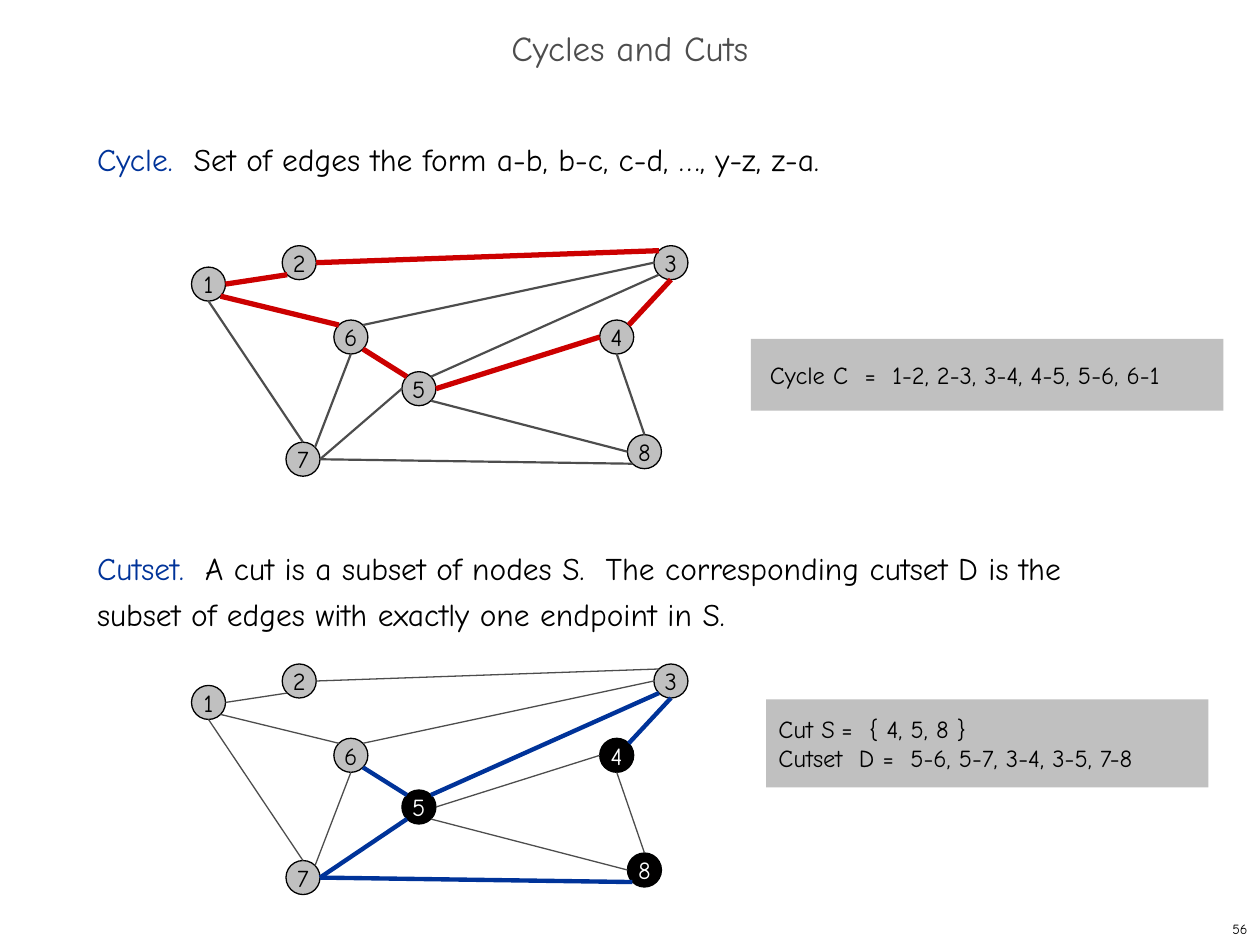
from math import cos, radians, sin

from lxml import etree
from pptx import Presentation
from pptx import util as u
from pptx.dml.color import RGBColor
from pptx.enum import shapes, text
from pptx.oxml import ns

Inches, Pt = u.Inches, u.Pt
FONT = "Comic Neue"
COLORS = {"black": "000000", "white": "FFFFFF", "gray": "C0C0C0", "dark": "4D4D4D",
          "blue": "003399", "red": "CC0000", "cut": "010000"}


def rgb(name):
    return RGBColor.from_string(COLORS[name])


def write(tf, paragraphs, size=14, align=text.PP_ALIGN.LEFT, spacing=None, gap=0,
          margins=(0.1, 0.05), wrap=True, anchor=text.MSO_ANCHOR.MIDDLE, tab=None):
    """Fill a text frame; each paragraph is a list of (text, colour) runs."""
    tf.word_wrap, tf.vertical_anchor = wrap, anchor
    tf.auto_size = text.MSO_AUTO_SIZE.NONE
    tf.margin_left = tf.margin_right = Inches(margins[0])
    tf.margin_top = tf.margin_bottom = Inches(margins[1])
    for i, runs in enumerate(paragraphs):
        p = tf.paragraphs[0] if i == 0 else tf.add_paragraph()
        pPr = p._p.get_or_add_pPr()
        pPr.set("marL", "0")
        pPr.set("indent", "0")
        etree.SubElement(pPr, ns.qn("a:buNone"))
        if tab:
            tabs = etree.SubElement(pPr, ns.qn("a:tabLst"))
            etree.SubElement(tabs, ns.qn("a:tab"), pos=str(Inches(tab)), algn="l")
        p.alignment = align
        p.space_before = Pt(gap if i else 0)
        if spacing:
            p.line_spacing = spacing
        for words, color in runs:
            r = p.add_run()
            r.text = words
            r.font.name, r.font.size = FONT, Pt(size)
            r.font.color.rgb = rgb(color)


prs = Presentation()
prs.slide_width, prs.slide_height = Inches(10), Inches(7.5)
s = prs.slides.add_slide(prs.slide_layouts[1])

# Title and definitions
title, body = s.placeholders
for sp, box in ((title, (0, 0.17, 10, 0.5)), (body, (0.67, 1, 8.58, 5.92))):
    sp.left, sp.top, sp.width, sp.height = map(Inches, box)
write(title.text_frame, [[("Cycles and Cuts", "dark")]], size=20,
      align=text.PP_ALIGN.CENTER, spacing=0.7)
write(body.text_frame, [
    [("Cycle.  ", "blue"),
     ("Set of edges the form a-b, b-c, c-d, …, y-z, z-a.", "black")],
    [("Cutset.  ", "blue"),
     ("A cut is a subset of nodes S.  The corresponding cutset D is the "
      "subset of edges with exactly one endpoint in S.", "black")],
], size=18, spacing=Pt(26), gap=8 * 26, anchor=text.MSO_ANCHOR.TOP)

# Slide number
sp = s.shapes.add_textbox(Inches(7.92), Inches(7.25), Inches(2.08), Inches(0.25))
write(sp.text_frame, [[("56", "black")]], size=8, align=text.PP_ALIGN.RIGHT)

# Example boxes
examples = [
    ((5.96, 2.69, 3.75, 0.57), (0.15, 0.15), None,
     ["Cycle C  =  1-2, 2-3, 3-4, 4-5, 5-6, 6-1"]),
    ((6.08, 5.55, 3.51, 0.7), (0.1, 0.08), 0.9,
     ["Cut S\t=  { 4, 5, 8 }", "Cutset  D =  5-6, 5-7, 3-4, 3-5, 7-8"]),
]
for box, margins, tab, lines in examples:
    sp = s.shapes.add_shape(shapes.MSO_SHAPE.RECTANGLE, *map(Inches, box))
    sp.shadow.inherit = False
    sp.fill.solid()
    sp.fill.fore_color.rgb = rgb("gray")
    sp.line.fill.background()
    write(sp.text_frame, [[(line, "black")] for line in lines], margins=margins, tab=tab)

# Graph: node corners, and edges that join compass points of the circles
DIAMETER = 0.27
nodes = {1: (1.52, 2.12), 2: (2.24, 1.95), 3: (5.19, 1.95), 4: (4.76, 2.54),
         5: (3.19, 2.95), 6: (2.65, 2.54), 7: (2.27, 3.51), 8: (4.98, 3.45)}
compass = ["E", "SE", "S", "SW", "W", "NW", "N", "NE"]
edges = [(1, "E", 2, "SW"), (1, "SE", 6, "NW"), (1, "S", 7, "N"), (6, "NE", 3, "W"),
         (4, "NE", 3, "S"), (6, "SE", 5, "NW"), (5, "SE", 8, "W"), (5, "E", 4, "W"),
         (4, "S", 8, "N"), (3, "SW", 5, "NE"), (6, "S", 7, "NE"), (2, "E", 3, "NW"),
         (7, "E", 8, "SW")]
cycle = [{1, 2}, {2, 3}, {3, 4}, {4, 5}, {5, 6}, {1, 6}]
cutset = [{5, 6}, {5, 7}, {3, 4}, {3, 5}, {7, 8}]

# Vertical offset, cut nodes, marked edges, their colour and width, plain width, 7-5 end
graphs = [(0, set(), cycle, "red", 3, 1.25, "W"),
          (3.32, {4, 5, 8}, cutset, "blue", 2.5, 0.75, "SW")]
for offset, cut, marked, color, thick, thin, end in graphs:
    for name, (x, y) in nodes.items():
        sp = s.shapes.add_shape(shapes.MSO_SHAPE.OVAL, Inches(x), Inches(y + offset),
                                Inches(DIAMETER), Inches(DIAMETER))
        sp.shadow.inherit = False
        sp.fill.solid()
        sp.fill.fore_color.rgb = rgb("cut" if name in cut else "gray")
        sp.line.color.rgb, sp.line.width = rgb("black"), Pt(0.75)
        write(sp.text_frame, [[(str(name), "white" if name in cut else "black")]],
              align=text.PP_ALIGN.CENTER, wrap=False)

    for a, a_side, b, b_side in edges + [(7, "E", 5, end)]:
        points = []
        for name, side in ((a, a_side), (b, b_side)):
            x, y = nodes[name]
            angle = radians(45 * compass.index(side))
            points += [Inches(x + DIAMETER / 2 * (1 + cos(angle))),
                       Inches(y + offset + DIAMETER / 2 * (1 + sin(angle)))]
        line = s.shapes.add_connector(shapes.MSO_CONNECTOR.STRAIGHT, *points)
        on = {a, b} in marked
        line.line.color.rgb = rgb(color if on else "dark")
        line.line.width = Pt(thick if on else thin)
        etree.SubElement(line._element.spPr, ns.qn("a:effectLst"))

prs.save("out.pptx")
